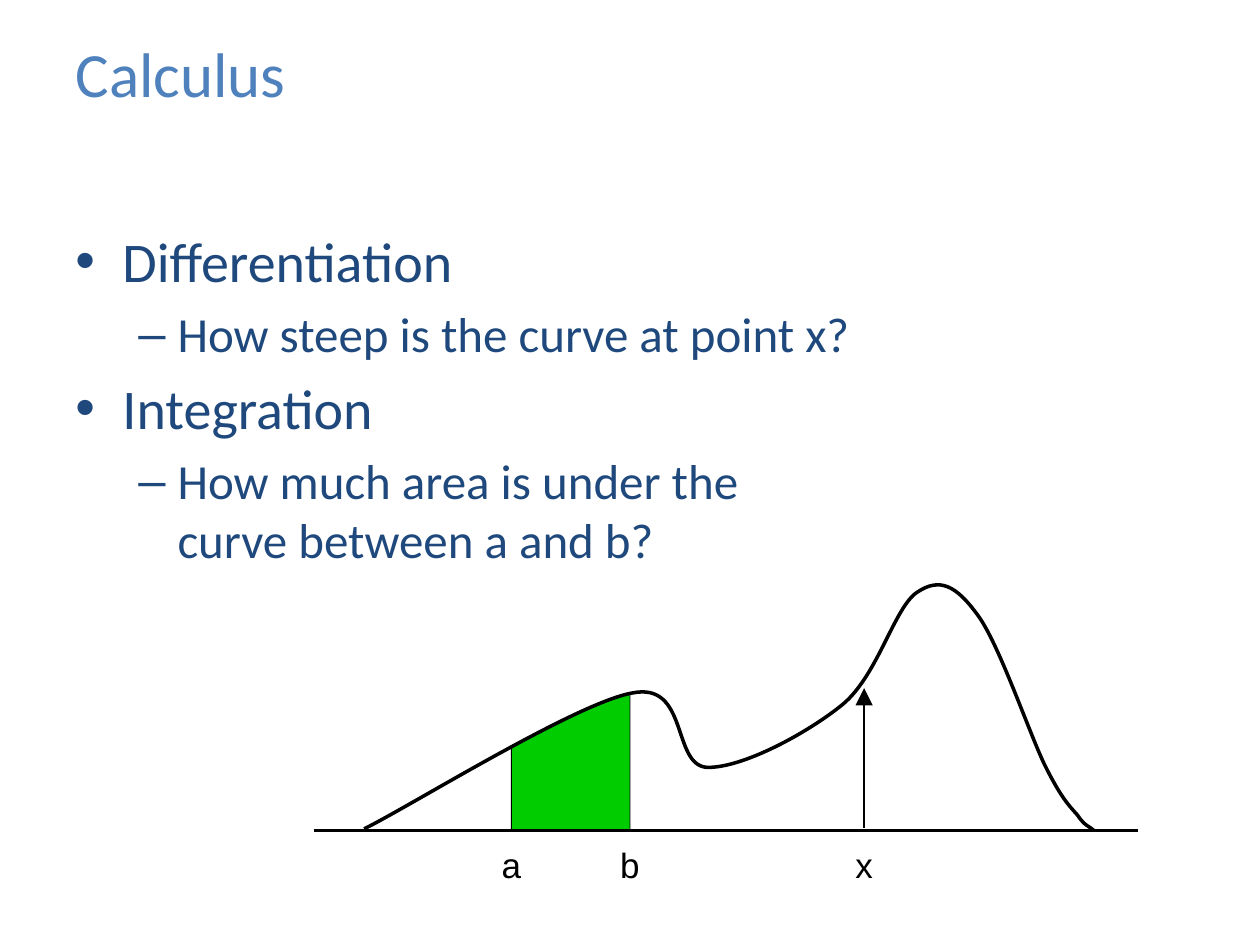
from lxml import etree
from pptx import Presentation
from pptx.dml.color import RGBColor
from pptx.enum.shapes import MSO_CONNECTOR
from pptx.enum.text import MSO_ANCHOR, MSO_AUTO_SIZE, PP_ALIGN
from pptx.oxml.ns import qn
from pptx.util import Cm, Pt

STRAIGHT = MSO_CONNECTOR.STRAIGHT
MIDDLE, TOP = MSO_ANCHOR.MIDDLE, MSO_ANCHOR.TOP
LEFT, CENTER = PP_ALIGN.LEFT, PP_ALIGN.CENTER
NO_FIT = MSO_AUTO_SIZE.NONE

BLUE = RGBColor(0x4F, 0x81, 0xBD)
NAVY = RGBColor(0x1F, 0x49, 0x7D)
GREEN = RGBColor(0x00, 0xCC, 0x00)
BLACK = RGBColor(0x00, 0x00, 0x00)

# Format values for each outline level: bullet, text size, indents
LEVELS = [
    {"bullet": "•", "size": 32, "margin": 0.95, "hang": 0.95},
    {"bullet": "–", "size": 28, "margin": 2.06, "hang": 0.79},
]
OUTLINE = [
    (0, "Differentiation"),
    (1, "How steep is the curve at point x?"),
    (0, "Integration"),
    (1, "How much area is under the\vcurve between a and b?"),
]

# Diagram geometry in centimetres
AXIS_Y = 16.74
A_X, B_X, X_X = 10.31, 12.7, 17.42
AREA = [(A_X, 15.04), (11.05, 14.66), (11.71, 14.33), (12.32, 14.1),
        (B_X, 13.97), (B_X, AXIS_Y), (A_X, AXIS_Y)]
CURVE = [  # start, then two control points and an end point for each piece
    (7.34, 16.71),
    (8.26, 16.26), (11.61, 14.17), (12.75, 13.97),
    (13.89, 13.74), (13.54, 15.42), (14.25, 15.47),
    (14.96, 15.49), (16.28, 14.78), (16.99, 14.2),
    (17.7, 13.61), (18.03, 12.24), (18.49, 11.94),
    (18.95, 11.63), (19.28, 11.81), (19.71, 12.4),
    (20.14, 12.98), (20.73, 14.73), (21.06, 15.42),
    (21.39, 16.08), (21.54, 16.23), (21.72, 16.43),
    (21.87, 16.66), (21.97, 16.66), (22.05, AXIS_Y),
]


def apply(target, values):
    for name, value in values.items():
        setattr(target, name, value)


def format_text(para, size, font_name, color):
    for span in para.runs:
        apply(span.font, {"size": Pt(size), "name": font_name})
        span.font.color.rgb = color


def add_title(page, text):
    title = page.shapes.title
    apply(title, {"left": Cm(1.27), "top": Cm(0.51),
                  "width": Cm(22.86), "height": Cm(1.91)})
    apply(title.text_frame, {"text": text, "vertical_anchor": MIDDLE,
                             "auto_size": NO_FIT})
    para = title.text_frame.paragraphs[0]
    para.alignment = LEFT
    format_text(para, 36, "Calibri", BLUE)


def add_bullet(para, level):
    properties = para._p.get_or_add_pPr()
    properties.set("marL", str(Cm(level["margin"])))
    properties.set("indent", str(-Cm(level["hang"])))
    etree.SubElement(properties, qn("a:buFont"), typeface="Arial")
    etree.SubElement(properties, qn("a:buChar"), char=level["bullet"])


def add_outline(page, items):
    box = page.shapes.add_textbox(Cm(1.27), Cm(2.92), Cm(22.86), Cm(15.52))
    frame = box.text_frame
    apply(frame, {"word_wrap": True, "vertical_anchor": TOP,
                  "margin_top": Cm(1.65)})
    for index, (depth, text) in enumerate(items):
        para = frame.add_paragraph() if index else frame.paragraphs[0]
        level = LEVELS[depth]
        add_bullet(para, level)
        apply(para, {"text": text, "level": depth, "alignment": LEFT})
        if index:
            para.space_before = Pt(level["size"] * 0.2)
        format_text(para, level["size"], "Calibri", NAVY)


def add_freeform(page, points, line_width, fill=None):
    corners = [(Cm(x), Cm(y)) for x, y in points]
    builder = page.shapes.build_freeform(*corners[0])
    builder.add_line_segments(corners[1:], close=fill is not None)
    shape = builder.convert_to_shape()
    shape.shadow.inherit = False
    if fill is None:
        shape.fill.background()
    else:
        shape.fill.solid()
        shape.fill.fore_color.rgb = fill
    shape.line.color.rgb = BLACK
    shape.line.width = Pt(line_width)
    return shape


def bend(shape):
    """Turn every three straight segments into one cubic Bézier piece."""
    segments = list(shape._element.iter(qn("a:lnTo")))
    for first in range(0, len(segments), 3):
        piece = etree.Element(qn("a:cubicBezTo"))
        segments[first].addprevious(piece)
        for segment in segments[first:first + 3]:
            piece.append(segment[0])
            segment.getparent().remove(segment)


def add_line(page, start, end, width, arrow=False):
    line = page.shapes.add_connector(
        STRAIGHT, *(Cm(value) for value in start + end))
    line.line.color.rgb = BLACK
    line.line.width = Pt(width)
    if arrow:
        etree.SubElement(line.line._get_or_add_ln(), qn("a:tailEnd"),
                         type="triangle", w="lg", len="lg")
    etree.SubElement(line._element.spPr, qn("a:effectLst"))


def add_label(page, text, center):
    width = 0.9
    box = page.shapes.add_textbox(
        Cm(center - width / 2), Cm(16.87), Cm(width), Cm(1.09))
    box.text_frame.word_wrap = False
    para = box.text_frame.paragraphs[0]
    apply(para, {"text": text, "alignment": CENTER})
    format_text(para, 20, "Arial", BLACK)


def main():
    deck = Presentation()
    apply(deck, {"slide_width": Cm(25.4), "slide_height": Cm(19.05)})
    page = deck.slides.add_slide(deck.slide_layouts[5])

    # Text
    add_title(page, "Calculus")
    add_outline(page, OUTLINE)

    # Shaded area, curve and axis
    add_freeform(page, AREA, 0.5, GREEN)
    bend(add_freeform(page, CURVE, 2))
    add_line(page, (6.32, AXIS_Y), (22.94, AXIS_Y), 2)

    # Marked points on the axis
    for text, center in (("a", A_X), ("b", B_X), ("x", X_X)):
        add_label(page, text, center)
    add_line(page, (X_X, 16.69), (X_X, 13.87), 0.75, arrow=True)

    deck.save("out.pptx")


if __name__ == "__main__":
    main()
